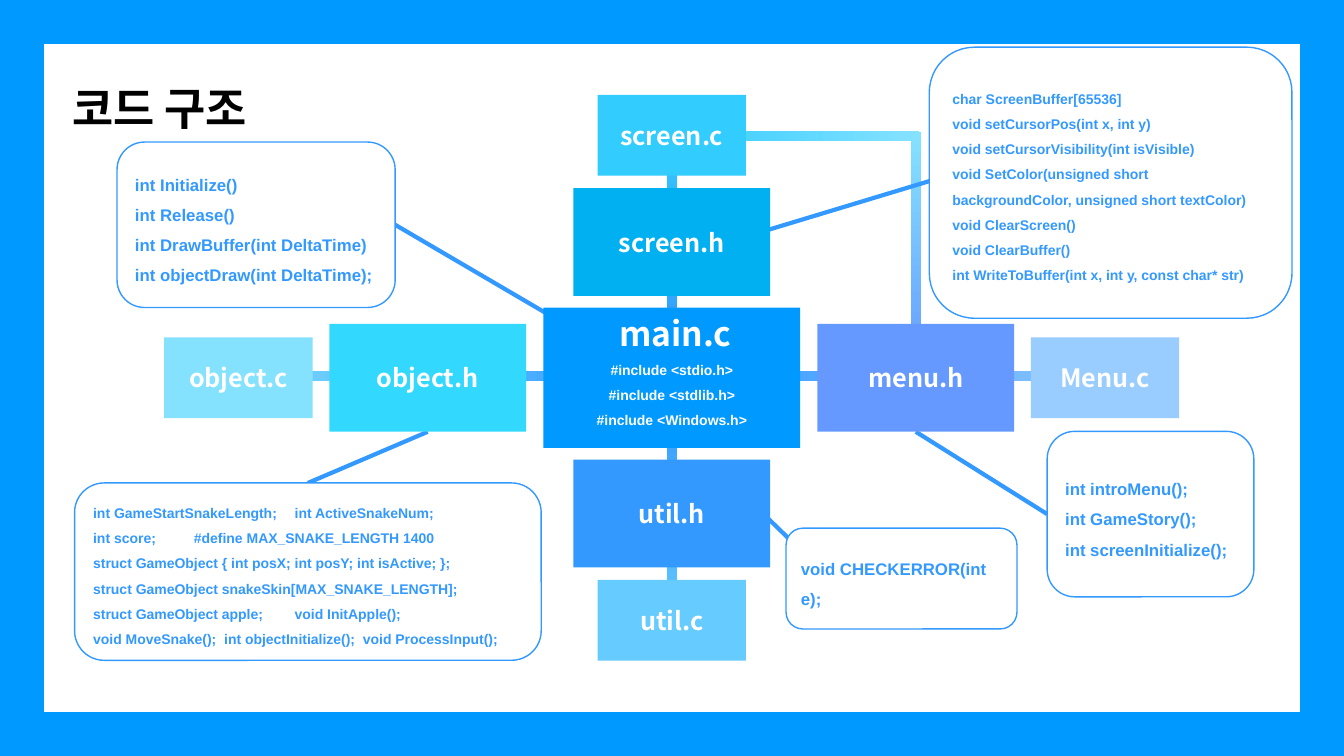
from lxml.etree import SubElement
from pptx import Presentation
from pptx.dml.color import RGBColor
from pptx.enum.shapes import MSO_CONNECTOR, MSO_SHAPE
from pptx.enum.text import MSO_ANCHOR, PP_ALIGN
from pptx.oxml.ns import qn
from pptx.util import Cm, Pt

KOREAN = "Noto Sans CJK KR"
LINE = "3399FF"
CENTER = (16.93, 9.52)
RING_STEPS = {1: (6.15, 3.42), 2: (10.92, 6.11)}
RING_SIZES = {1: (4.96, 2.72), 2: (3.74, 2.04)}
MAIN_SIZE = (6.47, 3.53)
BAR_WIDTH = 0.25

FILES = [
    ("screen.h", 1, (0, -1), "00B0F0"),
    ("screen.c", 2, (0, -1), "33CCFF"),
    ("menu.h", 1, (1, 0), "6699FF"),
    ("Menu.c", 2, (1, 0), "99CCFF"),
    ("object.h", 1, (-1, 0), "33D8FF"),
    ("object.c", 2, (-1, 0), "85E2FF"),
    ("util.h", 1, (0, 1), "3399FF"),
    ("util.c", 2, (0, 1), "66CCFF"),
]
INCLUDES = ["#include <stdio.h>", "#include <stdlib.h>", "#include <Windows.h>"]

BARS = [
    ((23.08, 6.43), 6.22, 90, ["85E2FF", "6699FF"]),
    ((20.05, 3.43), 6.22, 0, ["33CCFF", "85E2FF"]),
    (CENTER, 14.25, 90, ["33CCFF", "3399FF", "66CCFF"]),
    ((16.93, 9.47), 25.58, 0, ["85E2FF", "3399FF", "99CCFF"]),
]

CALLOUTS = {
    "main": ((2.95, 3.58, 7.01, 4.17), 12, [
        "int Initialize()",
        "int Release()",
        "int DrawBuffer(int DeltaTime)",
        "int objectDraw(int DeltaTime);",
    ]),
    "screen": ((23.42, 1.19, 9.14, 6.83), 10, [
        "char ScreenBuffer[65536]",
        "void setCursorPos(int x, int y)",
        "void setCursorVisibility(int isVisible)",
        "void SetColor(unsigned short backgroundColor, unsigned short textColor)",
        "void ClearScreen()",
        "void ClearBuffer()",
        "int WriteToBuffer(int x, int y, const char* str)",
    ]),
    "menu": ((26.39, 10.87, 5.21, 4.17), 12, [
        "int introMenu();",
        "int GameStory();",
        "int screenInitialize();",
    ]),
    "object": ((1.88, 12.17, 11.76, 4.47), 10, [
        "int GameStartSnakeLength;\tint ActiveSnakeNum;",
        "int score;\t#define MAX_SNAKE_LENGTH 1400",
        "struct GameObject { int posX; int posY; int isActive; };",
        "struct GameObject snakeSkin[MAX_SNAKE_LENGTH];",
        "struct GameObject apple;\tvoid InitApple();",
        "void MoveSnake();  int objectInitialize();  void ProcessInput();",
    ]),
    "util": ((19.81, 13.31, 5.82, 2.54), 12, ["void CHECKERROR(int e);"]),
}

LINKS = [
    ((18.9, 12.62), (20.73, 14.4), None, None),
    ((9.96, 5.67), (14.99, 8.61), ("main", 3), None),
    ((18.34, 6.1), (24.16, 4.34), None, None),
    ((23.08, 10.89), (26.39, 12.95), ("menu.h", 2), ("menu", 1)),
    ((10.78, 10.89), (7.76, 12.17), ("object.h", 2), ("object", 0)),
]


def rgb(value):
    return RGBColor.from_string(value)


def add_text(tf, text, size, color="FFFFFF", font="Arial", align=PP_ALIGN.LEFT, spacing=None):
    p = tf.paragraphs[0]
    if p.runs:
        p = tf.add_paragraph()
    p.alignment = align
    p.line_spacing = spacing
    r = p.add_run()
    r.text = text
    r.font.size = Pt(size)
    r.font.bold = True
    r.font.name = font
    r.font.color.rgb = rgb(color)
    SubElement(r.font._element, qn("a:ea")).set("typeface", KOREAN)


def add_box(kind, box, fill=None, line=None):
    sp = s.shapes.add_shape(kind, *map(Cm, box))
    sp.shadow.inherit = False
    if fill:
        sp.fill.solid()
        sp.fill.fore_color.rgb = rgb(fill)
    if line:
        sp.line.color.rgb = rgb(line)
        sp.line.width = Pt(1)
    else:
        sp.line.fill.background()
    sp.text_frame.word_wrap = True
    sp.text_frame.vertical_anchor = MSO_ANCHOR.MIDDLE
    return sp


def centered(center, size):
    return (center[0] - size[0] / 2, center[1] - size[1] / 2, *size)


def add_bar(center, length, rotation, colors):
    sp = add_box(MSO_SHAPE.RECTANGLE, centered(center, (length, BAR_WIDTH)))
    sp.rotation = rotation
    sp.fill.gradient()
    sp.fill.gradient_angle = 0
    stops = sp._element.spPr.find(qn("a:gradFill")).find(qn("a:gsLst"))
    for stop in list(stops):
        stops.remove(stop)
    for i, color in enumerate(colors):
        stop = SubElement(stops, qn("a:gs"), pos=str(100000 * i // (len(colors) - 1)))
        SubElement(stop, qn("a:srgbClr"), val=color)


def add_link(start, end):
    link = s.shapes.add_connector(MSO_CONNECTOR.STRAIGHT, *map(Cm, start + end))
    link.line.color.rgb = rgb(LINE)
    link.line.width = Pt(3)
    SubElement(link._element.spPr, qn("a:effectLst"))
    return link


prs = Presentation()
prs.slide_width, prs.slide_height = Cm(33.87), Cm(19.05)
s = prs.slides.add_slide(prs.slide_layouts[6])

frame = add_box(MSO_SHAPE.FRAME, (0, 0, 33.87, 19.05), "0099FF")
frame.adjustments[0] = 0.058

for bar in BARS:
    add_bar(*bar)
links = [add_link(start, end) for start, end, _, _ in LINKS]

title = s.shapes.add_textbox(Cm(1.57), Cm(1.24), Cm(5.79), Cm(2.11))
title.text_frame.word_wrap = True
add_text(title.text_frame, "코드 구조", 32, color="000000", spacing=1.5)

main = add_box(MSO_SHAPE.RECTANGLE, centered(CENTER, MAIN_SIZE), "0099FF")
main.text_frame.vertical_anchor = MSO_ANCHOR.TOP
add_text(main.text_frame, " main.c", 24, font=KOREAN, align=PP_ALIGN.CENTER)
for include in INCLUDES:
    add_text(main.text_frame, include, 10, align=PP_ALIGN.CENTER, spacing=1.5)

shapes = {}
for name, ring, direction, color in FILES:
    center = [c + d * step for c, d, step in zip(CENTER, direction, RING_STEPS[ring])]
    sp = add_box(MSO_SHAPE.RECTANGLE, centered(center, RING_SIZES[ring]), color)
    add_text(sp.text_frame, name, 18, font=KOREAN, align=PP_ALIGN.CENTER)
    shapes[name] = sp

for name, (box, size, lines) in CALLOUTS.items():
    sp = add_box(MSO_SHAPE.ROUNDED_RECTANGLE, box, "FFFFFF", LINE)
    for text in lines:
        add_text(sp.text_frame, text, size, color=LINE, spacing=1.5)
    shapes[name] = sp

for link, (_, _, begin, end) in zip(links, LINKS):
    if begin:
        link.begin_connect(shapes[begin[0]], begin[1])
    if end:
        link.end_connect(shapes[end[0]], end[1])

prs.save("out.pptx")
